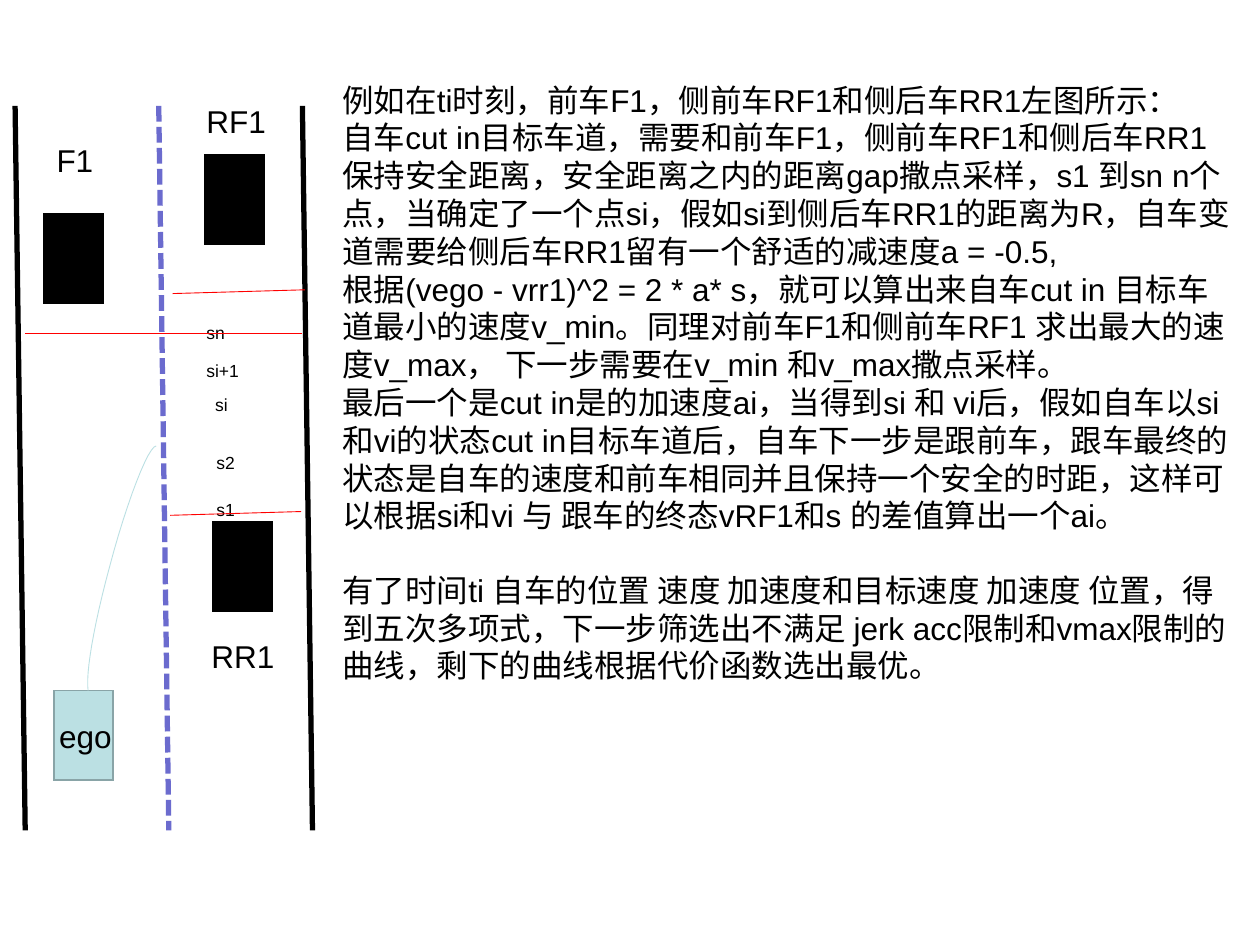
from lxml.etree import SubElement
from pptx import Presentation
from pptx.dml.color import RGBColor
from pptx.enum.dml import MSO_LINE_DASH_STYLE as Dash
from pptx.enum.shapes import MSO_CONNECTOR as Connector, MSO_SHAPE as Shape
from pptx.oxml.ns import qn
from pptx.util import Inches, Pt

BLACK, RED, TEAL = "000000", "FF0000", "BBE0E3"
CAR_W, CAR_H = 0.47, 0.71
LANE_TOP, LANE_BOTTOM, LANE_LEAN = 0.84, 6.59, 0.08
THIN = 0.51

EXPLANATION = [
    "例如在ti时刻，前车F1，侧前车RF1和侧后车RR1左图所示：",
    "自车cut in目标车道，需要和前车F1，侧前车RF1和侧后车RR1保持安全距离，"
    "安全距离之内的距离gap撒点采样，s1 到sn n个点，当确定了一个点si，"
    "假如si到侧后车RR1的距离为R，自车变道需要给侧后车RR1留有一个舒适的减速度a = -0.5,",
    "根据(vego - vrr1)^2 = 2 * a* s，就可以算出来自车cut in 目标车道最小的速度v_min。"
    "同理对前车F1和侧前车RF1 求出最大的速度v_max， 下一步需要在v_min 和v_max撒点采样。",
    "最后一个是cut in是的加速度ai，当得到si 和 vi后，假如自车以si和vi的状态cut in目标车道后，"
    "自车下一步是跟前车，跟车最终的状态是自车的速度和前车相同并且保持一个安全的时距，"
    "这样可以根据si和vi 与 跟车的终态vRF1和s 的差值算出一个ai。",
    "有了时间ti 自车的位置 速度 加速度和目标速度 加速度 位置，得到五次多项式，"
    "下一步筛选出不满足 jerk acc限制和vmax限制的曲线，剩下的曲线根据代价函数选出最优。",
]


def rgb(color):
    return RGBColor.from_string(color)


def add_line(s, start, end, color, width, dash=None):
    line = s.shapes.add_connector(
        Connector.STRAIGHT, *(Inches(v) for v in (*start, *end)))
    line.line.color.rgb = rgb(color)
    line.line.width = Pt(width)
    if dash:
        line.line.dash_style = dash
    SubElement(line._element.spPr, qn("a:effectLst"))


def add_car(s, left, top, fill=BLACK, outline=BLACK):
    sp = s.shapes.add_shape(
        Shape.RECTANGLE, *(Inches(v) for v in (left, top, CAR_W, CAR_H)))
    sp.shadow.inherit = False
    sp.fill.solid()
    sp.fill.fore_color.rgb = rgb(fill)
    sp.line.color.rgb = rgb(outline)
    sp.line.width = Pt(0.99)
    SubElement(sp.line._get_or_add_ln(), qn("a:miter"), lim="800000")


def add_text(s, left, top, width, height, paragraphs, size):
    tf = s.shapes.add_textbox(
        *(Inches(v) for v in (left, top, width, height))).text_frame
    tf.word_wrap = True
    for i, text in enumerate(paragraphs):
        p = tf.paragraphs[0] if i == 0 else tf.add_paragraph()
        p.text = text
        p.font.name = "Arial"
        p.font.size = Pt(size)
        p.font.color.rgb = rgb(BLACK)
        # Keep punctuation inside the right margin
        p._p.get_or_add_pPr().set("hangingPunct", "0")
    return tf


def bezier(a, b, c, d, steps=12):
    """Points after a on the cubic curve from a to d."""
    for i in range(1, steps + 1):
        t = i / steps
        u = 1 - t
        yield tuple(u**3 * p + 3 * u * u * t * q + 3 * u * t * t * r + t**3 * e
                    for p, q, r, e in zip(a, b, c, d))


def add_curve(s, start, segments, color, width):
    points = [start]
    for b, c, d in segments:
        points += bezier(points[-1], b, c, d)
    points = [(Inches(x), Inches(y)) for x, y in points]
    builder = s.shapes.build_freeform(*points[0])
    builder.add_line_segments(points[1:], close=False)
    sp = builder.convert_to_shape()
    sp.shadow.inherit = False
    sp.fill.background()
    sp.line.color.rgb = rgb(color)
    sp.line.width = Pt(width)


def main():
    prs = Presentation()
    prs.slide_width, prs.slide_height = Inches(10), Inches(7.5)
    s = prs.slides.add_slide(prs.slide_layouts[6])

    # Ego car and lane borders
    add_car(s, 0.43, 5.48, TEAL, "89A4A7")
    for x, color, dash in ((0.12, BLACK, None),
                           (1.26, "6B6BCE", Dash.SQUARE_DOT),
                           (2.4, BLACK, None)):
        add_line(s, (x, LANE_TOP), (x + LANE_LEAN, LANE_BOTTOM), color, 3, dash)

    # Surrounding cars
    for left, top in ((0.35, 1.7), (1.63, 1.23), (1.69, 4.14)):
        add_car(s, left, top)

    # Car names
    for name, left, top in (("F1", 0.35, 1.07), ("RF1", 1.54, 0.76),
                            ("RR1", 1.58, 5.01), ("ego", 0.37, 5.64)):
        add_text(s, left, top, 0.75, 0.4, [name], 18)

    # Explanation, with a wider gap before the conclusion
    tf = add_text(s, 2.62, 0.59, 7.24, 6.4, EXPLANATION, 18)
    tf.paragraphs[-1].space_before = Pt(21)

    # Sample points
    for name, left, top in (("sn", 1.54, 2.51), ("si+1", 1.54, 2.81),
                            ("si", 1.61, 3.08), ("s2", 1.62, 3.54),
                            ("s1", 1.62, 3.91)):
        add_text(s, left, top, 0.6, 0.27, [name], 10)

    # Safety distances
    for start, end in (((1.37, 2.33), (2.42, 2.3)),
                       ((1.35, 4.09), (2.39, 4.06)),
                       ((0.2, 2.65), (2.4, 2.65))):
        add_line(s, start, end, RED, THIN)

    # Cut-in path
    add_curve(s, (0.7, 5.48),
              [((0.68, 5.35), (0.74, 4.98), (0.87, 4.5)),
               ((1.01, 3.97), (1.18, 3.54), (1.24, 3.54))], TEAL, THIN)

    prs.save("out.pptx")


main()
